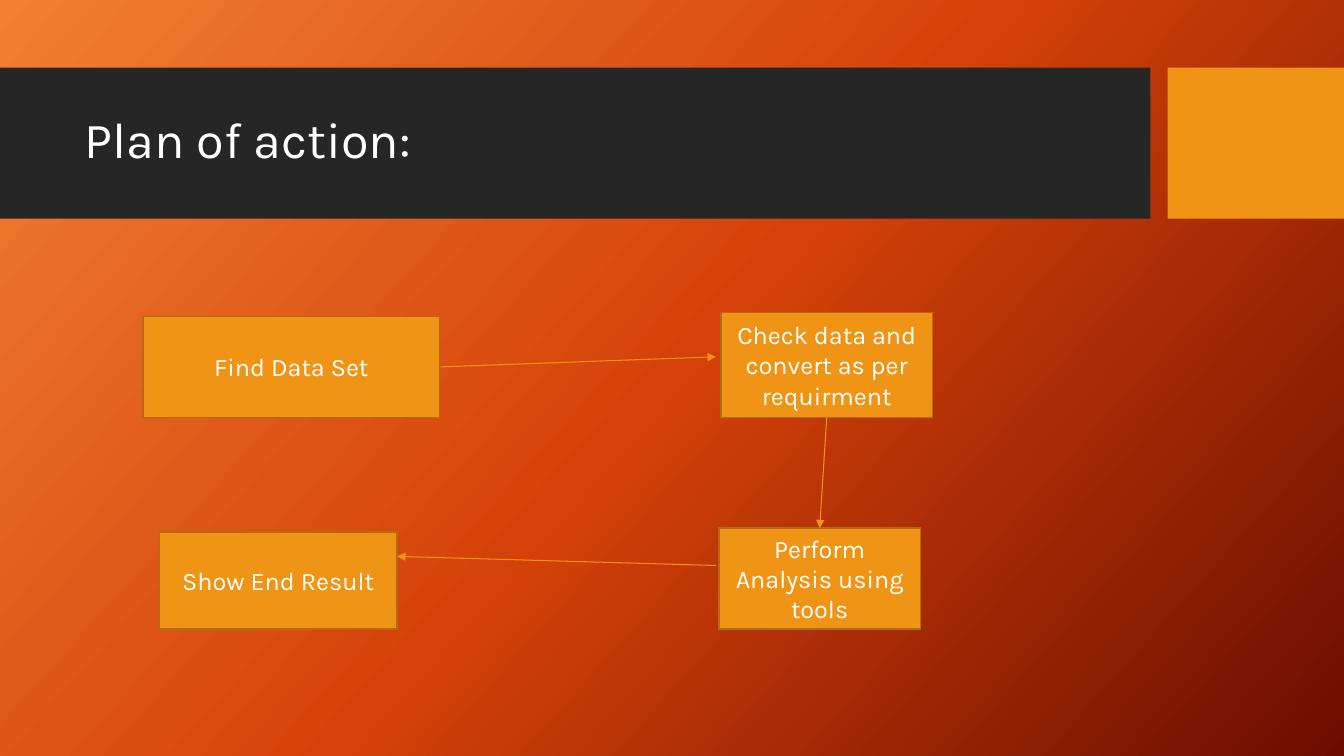
from dataclasses import dataclass

from lxml import etree
from pptx import Presentation
from pptx.dml.color import RGBColor
from pptx.enum.shapes import MSO_CONNECTOR, MSO_SHAPE
from pptx.enum.text import MSO_ANCHOR, MSO_AUTO_SIZE, PP_ALIGN
from pptx.oxml.ns import qn
from pptx.slide import Slide
from pptx.text.text import TextFrame
from pptx.util import Inches, Pt

RECTANGLE = MSO_SHAPE.RECTANGLE
STRAIGHT = MSO_CONNECTOR.STRAIGHT
MIDDLE = MSO_ANCHOR.MIDDLE
NO_AUTOFIT = MSO_AUTO_SIZE.NONE
LEFT, CENTER = PP_ALIGN.LEFT, PP_ALIGN.CENTER

FONT = "Karla"
COLORS = {
    "glow": "F18031",
    "ember": "D54209",
    "maroon": "6A0D00",
    "charcoal": "262626",
    "amber": "F09415",
    "bronze": "B26D10",
    "white": "FFFFFF",
}
BACKGROUND_STOPS = {0: "glow", 50: "ember", 100: "maroon"}
BACKGROUND_ANGLE = 42  # clockwise degrees
BAND_TOP, BAND_HEIGHT = 0.67, 1.5


@dataclass
class Block:
    left: float
    top: float
    width: float
    height: float
    fill: str = "amber"
    outline: str = ""
    text: str = ""


@dataclass
class Arrow:
    start: tuple[float, float]
    end: tuple[float, float]


def step(left: float, top: float, width: float, height: float, text: str) -> Block:
    return Block(left, top, width, height, outline="bronze", text=text)


HEADER_BANDS = [
    Block(0, BAND_TOP, 11.41, BAND_HEIGHT, fill="charcoal"),
    Block(11.58, BAND_TOP, 1.75, BAND_HEIGHT),
]
STEPS = [
    step(1.42, 3.14, 2.94, 1, "Find Data Set"),
    step(7.15, 3.1, 2.1, 1.04, "Check data and convert as per requirment"),
    step(7.13, 5.24, 2, 1, "Perform Analysis using tools"),
    step(1.58, 5.28, 2.36, 0.96, "Show End Result"),
]
ARROWS = [
    Arrow((4.37, 3.64), (7.1, 3.54)),
    Arrow((8.2, 4.14), (8.13, 5.24)),
    Arrow((7.1, 5.61), (3.94, 5.52)),
]


def rgb(name: str) -> RGBColor:
    return RGBColor.from_string(COLORS[name])


def paint_background(slide: Slide) -> None:
    fill = slide.background.fill
    fill.gradient()
    fill.gradient_angle = 360 - BACKGROUND_ANGLE
    stops = next(slide.element.iter(qn("a:gsLst")))
    for default_stop in list(stops):
        stops.remove(default_stop)
    for percent, color in BACKGROUND_STOPS.items():
        stop = etree.SubElement(stops, qn("a:gs"), pos=str(percent * 1000))
        etree.SubElement(stop, qn("a:srgbClr"), val=COLORS[color])


def write_text(frame: TextFrame, text: str, size: int, align: PP_ALIGN) -> None:
    frame.text = text
    frame.word_wrap = True
    frame.auto_size = NO_AUTOFIT
    frame.vertical_anchor = MIDDLE
    paragraph = frame.paragraphs[0]
    paragraph.alignment = align
    font = paragraph.runs[0].font
    font.name = FONT
    font.size = Pt(size)
    font.color.rgb = rgb("white")


def draw_block(slide: Slide, block: Block) -> None:
    box = slide.shapes.add_shape(
        RECTANGLE, Inches(block.left), Inches(block.top),
        Inches(block.width), Inches(block.height),
    )
    box.shadow.inherit = False
    box.fill.solid()
    box.fill.fore_color.rgb = rgb(block.fill)
    if block.outline:
        box.line.color.rgb = rgb(block.outline)
        box.line.width = Pt(1)
    else:
        box.line.fill.background()
    if block.text:
        write_text(box.text_frame, block.text, 18, CENTER)


def draw_arrow(slide: Slide, arrow: Arrow) -> None:
    link = slide.shapes.add_connector(
        STRAIGHT, *(Inches(value) for value in arrow.start + arrow.end)
    )
    link.line.color.rgb = rgb("amber")
    link.line.width = Pt(0.75)
    outline = link.element.spPr.find(qn("a:ln"))
    etree.SubElement(outline, qn("a:tailEnd"), type="triangle")
    etree.SubElement(link.element.spPr, qn("a:effectLst"))


presentation = Presentation()
presentation.slide_width = Inches(13.33)
presentation.slide_height = Inches(7.5)
title_only = presentation.slide_layouts[5]
plan = presentation.slides.add_slide(title_only)
paint_background(plan)

# Header bands, with the title brought in front of them
for band in HEADER_BANDS:
    draw_block(plan, band)
heading = plan.shapes.title
plan.shapes.element.append(heading.element)
heading.left, heading.top = Inches(0.74), Inches(0.82)
heading.width, heading.height = Inches(10.51), Inches(1.18)
write_text(heading.text_frame, "Plan of action:", 36, LEFT)
heading.text_frame.paragraphs[0].line_spacing = 0.9

# Flow of steps
for action in STEPS:
    draw_block(plan, action)
for arrow in ARROWS:
    draw_arrow(plan, arrow)

presentation.save("out.pptx")
